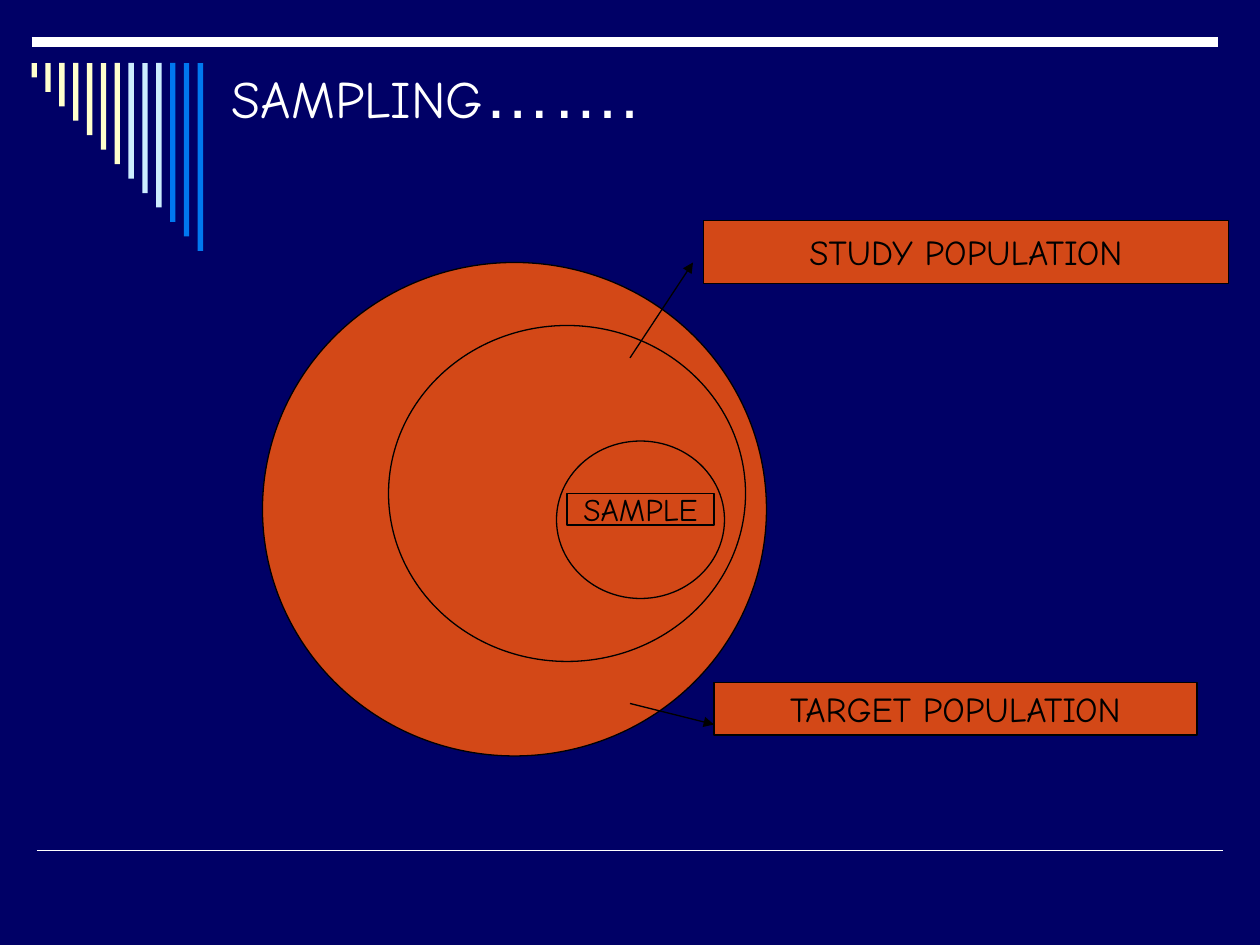
from pptx import Presentation
from pptx.dml.color import RGBColor
from pptx.enum.shapes import MSO_CONNECTOR as Connector, MSO_SHAPE as Shape
from pptx.enum.text import MSO_ANCHOR as Anchor, MSO_AUTO_SIZE as AutoSize, PP_ALIGN as Align
from pptx.oxml.ns import qn
from pptx.util import Pt
from lxml.etree import SubElement

COLORS = {
    "background": "000066",
    "white": "FFFFFF",
    "black": "000000",
    "orange": "D34817",
    "cream": "FFFFCC",
    "pale": "CCECFF",
    "blue": "0078F0",
}
BAR_COLORS = ["cream"] * 7 + ["pale"] * 3 + ["blue"] * 3
FRAME_FORMAT = {"margin_left": Pt(7.2), "margin_right": Pt(7.2), "margin_top": Pt(3.6)}
TITLE_FRAME = {**FRAME_FORMAT, "margin_bottom": Pt(7.2), "vertical_anchor": Anchor.BOTTOM,
               "auto_size": AutoSize.NONE, "word_wrap": True}
LABEL_FRAME = {**FRAME_FORMAT, "margin_bottom": Pt(3.6), "vertical_anchor": Anchor.MIDDLE,
               "word_wrap": False}


def color(name):
    return RGBColor.from_string(COLORS[name])


def apply_format(target, values):
    for name, value in values.items():
        setattr(target, name, value)


def add_run(paragraph, text, font_name, size, color_name):
    run = paragraph.add_run()
    run.text = text
    apply_format(run.font, {"name": font_name, "size": Pt(size)})
    run.font.color.rgb = color(color_name)


def add_filled(shapes, kind, box, fill, line=None):
    shape = shapes.add_shape(kind, *map(Pt, box))
    shape.shadow.inherit = False
    shape.fill.solid()
    shape.fill.fore_color.rgb = color(fill)
    if line:
        shape.line.color.rgb = color(line)
        shape.line.width = Pt(0.75)
    else:
        shape.line.fill.background()
    return shape


def add_line(slide, start, end, color_name, width, arrow=False):
    line = slide.shapes.add_connector(Connector.STRAIGHT, *map(Pt, (*start, *end)))
    line.line.color.rgb = color(color_name)
    line.line.width = Pt(width)
    if arrow:
        SubElement(line.line._get_or_add_ln(), qn("a:tailEnd"), type="triangle")
    SubElement(line._element.spPr, qn("a:effectLst"))


def add_rules(slide, left, top, width, height):
    add_line(slide, (left + 3, top + height), (left + width, top + height), "white", 1)
    add_line(slide, (left, top), (left + width - 3, top), "white", 6)


def add_bars(slide, left, top, width, height):
    group = slide.shapes.add_group_shape()
    count = len(BAR_COLORS)
    bar_width = 3.1
    pitch = (width - bar_width) / (count - 1)
    for index, name in enumerate(BAR_COLORS):
        box = (left + index * pitch, top, bar_width, height * (index + 1) / count)
        add_filled(group.shapes, Shape.RECTANGLE, box, name)


def add_title(slide, left, top, width, height):
    title = slide.shapes.title
    apply_format(title, {"left": Pt(left), "top": Pt(top), "width": Pt(width), "height": Pt(height)})
    apply_format(title.text_frame, TITLE_FRAME)
    paragraph = title.text_frame.paragraphs[0]
    paragraph.alignment = Align.LEFT
    add_run(paragraph, "SAMPLING", "Comic Neue", 30, "white")
    add_run(paragraph, "…….", "Arial", 39, "white")


def add_label(slide, box, text, size):
    label = add_filled(slide.shapes, Shape.RECTANGLE, box, "orange", "black")
    apply_format(label.text_frame, LABEL_FRAME)
    paragraph = label.text_frame.paragraphs[0]
    paragraph.alignment = Align.CENTER
    add_run(paragraph, text, "Comic Neue", size, "black")


def add_populations(slide, left, top, width, height):
    right, bottom = left + width, top + height
    circles = [(0, 24, 288, 282), (72, 60, 204, 192), (168, 126, 96, 90)]
    for x, y, *size in circles:
        add_filled(slide.shapes, Shape.OVAL, (left + x, top + y, *size), "orange", "black")
    add_label(slide, (right - 294, bottom - 42, 276, 30), "TARGET POPULATION", 20)
    add_label(slide, (right - 300, top, 300, 36), "STUDY POPULATION", 20)
    add_label(slide, (left + 174, top + 156, 84, 18), "SAMPLE", 18)
    arrow_left = left + 210
    add_line(slide, (arrow_left, top + 78.5), (arrow_left + 36, top + 24), "black", 0.75, True)
    add_line(slide, (arrow_left, bottom - 30), (arrow_left + 48, bottom - 18), "black", 0.75, True)


def main():
    presentation = Presentation()
    presentation.slide_width, presentation.slide_height = Pt(720), Pt(540)
    slide = presentation.slides.add_slide(presentation.slide_layouts[5])
    slide.background.fill.solid()
    slide.background.fill.fore_color.rgb = color("background")
    add_rules(slide, 18, 24, 681, 462)
    add_bars(slide, 18, 36, 98.1, 107.4)
    add_title(slide, 125.3, 18, 593.3, 64.8)
    add_populations(slide, 150, 126, 552, 306)
    presentation.save("out.pptx")


if __name__ == "__main__":
    main()
